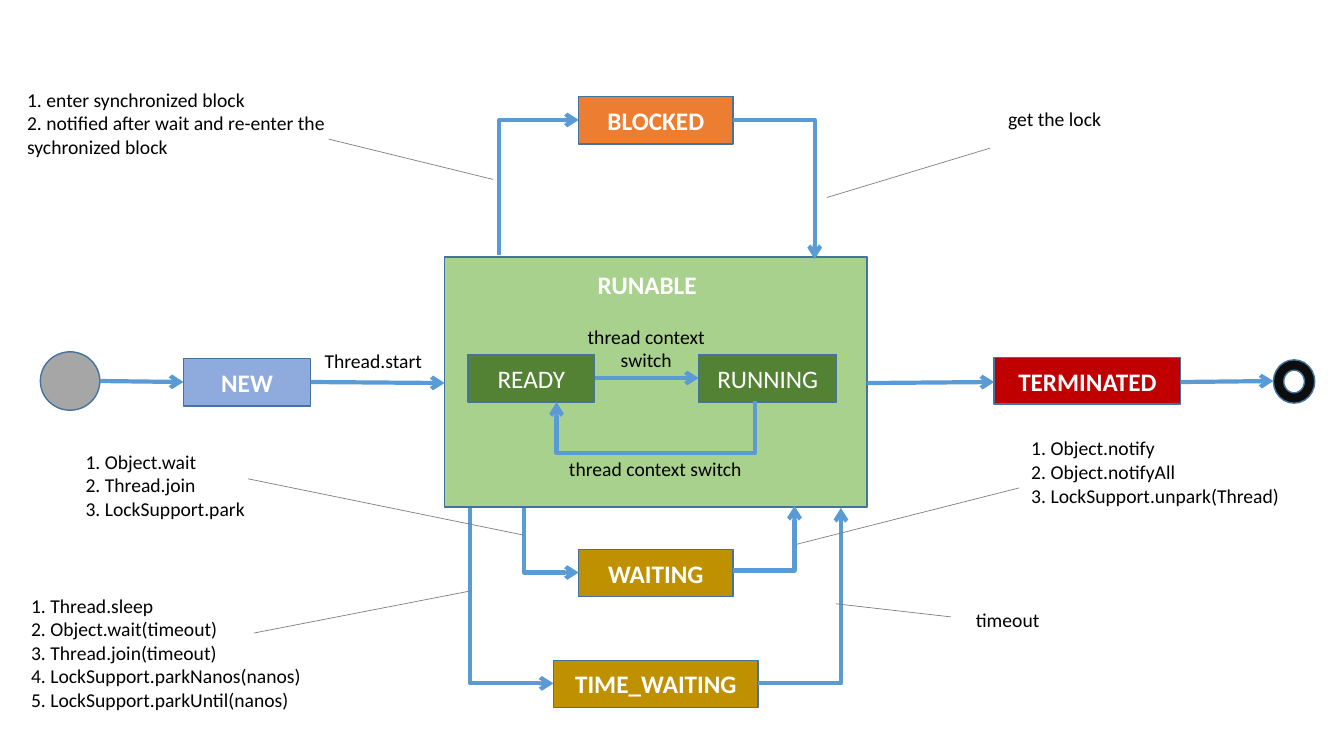
from lxml.etree import SubElement
from pptx import Presentation
from pptx.dml.color import RGBColor
from pptx.enum.shapes import MSO_CONNECTOR, MSO_SHAPE
from pptx.enum.text import MSO_ANCHOR, PP_ALIGN
from pptx.oxml.ns import qn
from pptx.util import Pt

SCALE = 9144


def px(n):
    return round(n * SCALE)


def color(code):
    return RGBColor.from_string(code)


class Board:
    font = "Calibri"
    edge = "43739E"
    flow = "5B9BD5"
    hint = "808080"

    def __init__(self, slide):
        self.shapes = slide.shapes

    def letter(self, frame, lines, size, ink, bold, align):
        frame.word_wrap = True
        frame.text = "\n".join(lines)
        for para in frame.paragraphs:
            para.alignment = align
            para.font.name = self.font
            para.font.size = Pt(size)
            para.font.bold = bold
            para.font.color.rgb = color(ink)

    def shape(self, kind, box, fill):
        item = self.shapes.add_shape(kind, *map(px, box))
        item.shadow.inherit = False
        item.fill.solid()
        item.fill.fore_color.rgb = color(fill)
        item.line.color.rgb = color(self.edge)
        item.line.width = Pt(1)
        return item

    def state(self, name, box, fill, bold=True):
        frame = self.shape(MSO_SHAPE.RECTANGLE, box, fill).text_frame
        frame.vertical_anchor = MSO_ANCHOR.MIDDLE
        self.letter(frame, [name], 18, "FFFFFF", bold, PP_ALIGN.CENTER)

    def label(self, box, *lines, size=14, ink="000000", bold=False, align=PP_ALIGN.LEFT):
        frame = self.shapes.add_textbox(*map(px, box)).text_frame
        self.letter(frame, lines, size, ink, bold, align)

    def line(self, ends, ink, width, kind=MSO_CONNECTOR.STRAIGHT):
        link = self.shapes.add_connector(kind, *map(px, ends))
        link.line.color.rgb = color(ink)
        link.line.width = Pt(width)
        SubElement(link._element.spPr, qn("a:effectLst"))
        return link

    def arrow(self, ends, kind=MSO_CONNECTOR.STRAIGHT):
        link = self.line(ends, self.flow, 3, kind)
        outline = link._element.spPr.find(qn("a:ln"))
        SubElement(outline, qn("a:tailEnd"), type="arrow")
        return link

    def across(self, ends):
        link = self.arrow(ends, MSO_CONNECTOR.ELBOW)
        link._element.spPr.prstGeom.set("prst", "bentConnector2")

    def upright(self, ends, drop=0):
        x1, y1, x2, y2 = ends
        mid_x, mid_y = (x1 + x2) / 2, (y1 + y2) / 2
        half = abs(y2 - y1) / 2
        down = y2 > y1
        side = (x2 - x1) / 2 * (1 if down else -1)
        turned = (mid_x - half, mid_y + side, mid_x + half, mid_y - side)
        link = self.arrow(turned, MSO_CONNECTOR.ELBOW)
        props = link._element.spPr
        props.xfrm.set("rot", str((90 if down else 270) * 60000))
        geom = props.prstGeom
        if drop:
            ratio = round(drop / abs(y2 - y1) * 100000)
            guides = geom.get_or_add_avLst()
            SubElement(guides, qn("a:gd"), name="adj1", fmla=f"val {ratio}")
        else:
            geom.set("prst", "bentConnector2")


def main():
    deck = Presentation()
    deck.slide_width, deck.slide_height = px(1333), px(750)
    board = Board(deck.slides.add_slide(deck.slide_layouts[6]))
    center = PP_ALIGN.CENTER

    board.shape(MSO_SHAPE.RECTANGLE, (441, 255, 419, 248), "A9D18E")
    board.shape(MSO_SHAPE.OVAL, (40, 349, 59, 58), "A6A6A6")
    board.shape(MSO_SHAPE.DONUT, (1263, 357, 41, 43), "0D0D0D")

    board.state("NEW", (182, 356, 126, 47), "8FAADC")
    board.state("READY", (464, 352, 126, 47), "548235", False)
    board.state("RUNNING", (693, 352, 137, 47), "548235", False)
    board.state("TERMINATED", (986, 355, 185, 46), "C00000")
    board.state("BLOCKED", (574, 96, 153, 47), "ED7D31")
    board.state("WAITING", (574, 545, 153, 47), "BF9000")
    board.state("TIME_WAITING", (549, 655, 203, 47), "BF9000")

    for ends in (
        (99, 378, 182, 379),
        (308, 379, 441, 380),
        (590, 375, 693, 375),
        (860, 380, 986, 379),
        (1171, 379, 1263, 378),
    ):
        board.arrow(ends)
    for ends in ((727, 566, 788, 502), (752, 678, 834, 504), (727, 119, 808, 257)):
        board.across(ends)
    for ends in ((520, 504, 574, 568), (466, 504, 549, 678), (495, 253, 574, 119)):
        board.upright(ends)
    board.upright((749, 398, 552, 399), drop=52)

    for ends in (
        (489, 178, 326, 138),
        (982, 147, 820, 196),
        (520, 531, 246, 475),
        (468, 586, 252, 628),
        (1011, 484, 790, 540),
        (829, 599, 943, 612),
    ):
        board.line(ends, board.hint, 0.5)

    board.label((583, 262, 141, 40), "RUNABLE", size=18, ink="FFFFFF", bold=True)
    board.label((312, 341, 125, 34), "Thread.start")
    board.label((546, 448, 208, 34), "thread context switch", align=center)
    board.label((563, 317, 156, 57), "thread context switch", align=center)
    board.label(
        (17, 82, 330, 128),
        "1. enter synchronized block",
        "2. notified after wait and re-enter the sychronized block",
    )
    board.label((990, 101, 260, 34), "get the lock")
    board.label((75, 441, 220, 81), "1. Object.wait", "2. Thread.join", "3. LockSupport.park")
    board.label(
        (21, 584, 323, 128),
        "1. Thread.sleep",
        "2. Object.wait(timeout)",
        "3. Thread.join(timeout)",
        "4. LockSupport.parkNanos(nanos)",
        "5. LockSupport.parkUntil(nanos)",
    )
    board.label(
        (1013, 428, 300, 81),
        "1. Object.notify",
        "2. Object.notifyAll",
        "3. LockSupport.unpark(Thread)",
    )
    board.label((958, 598, 300, 34), "timeout")
    deck.save("out.pptx")


if __name__ == "__main__":
    main()
